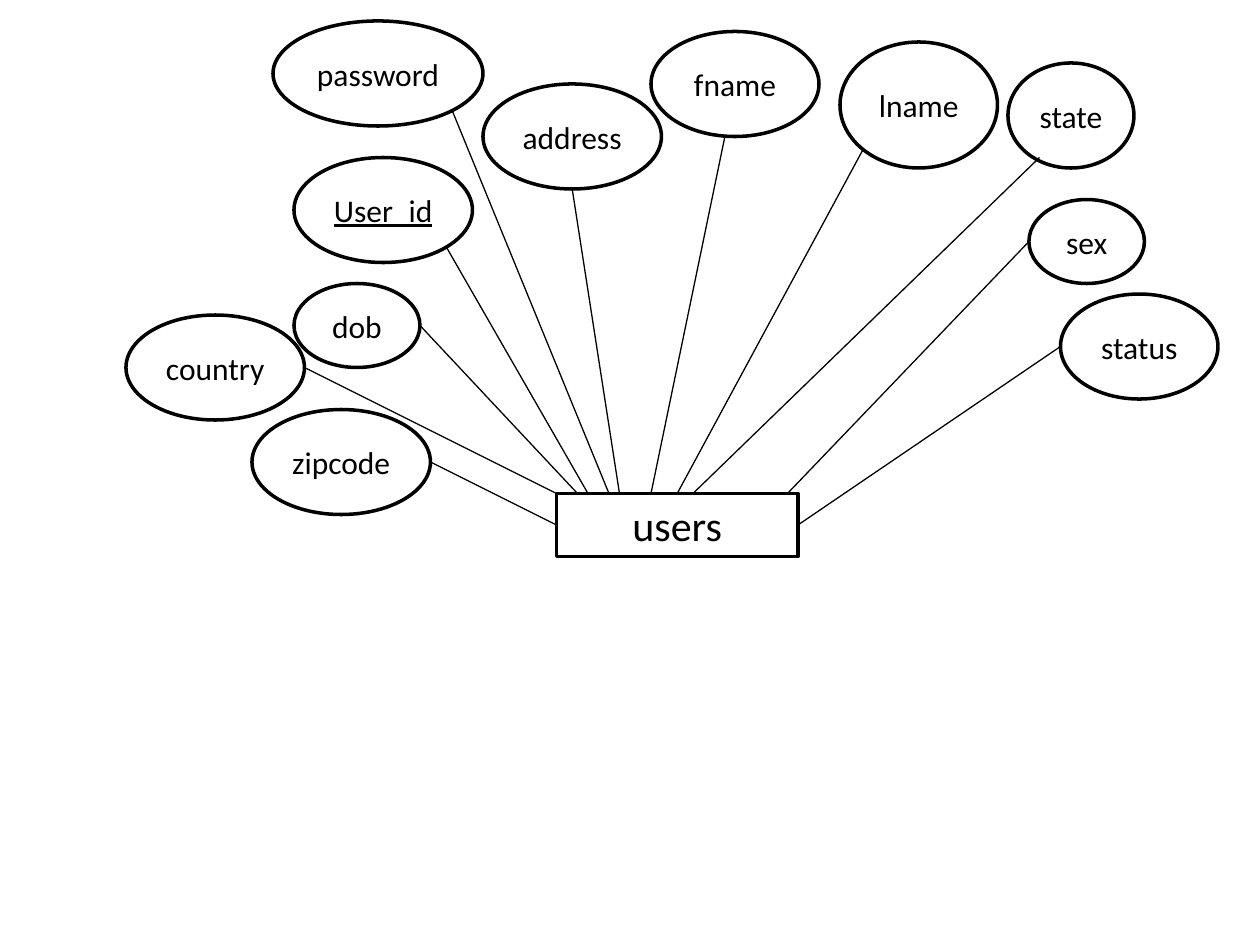
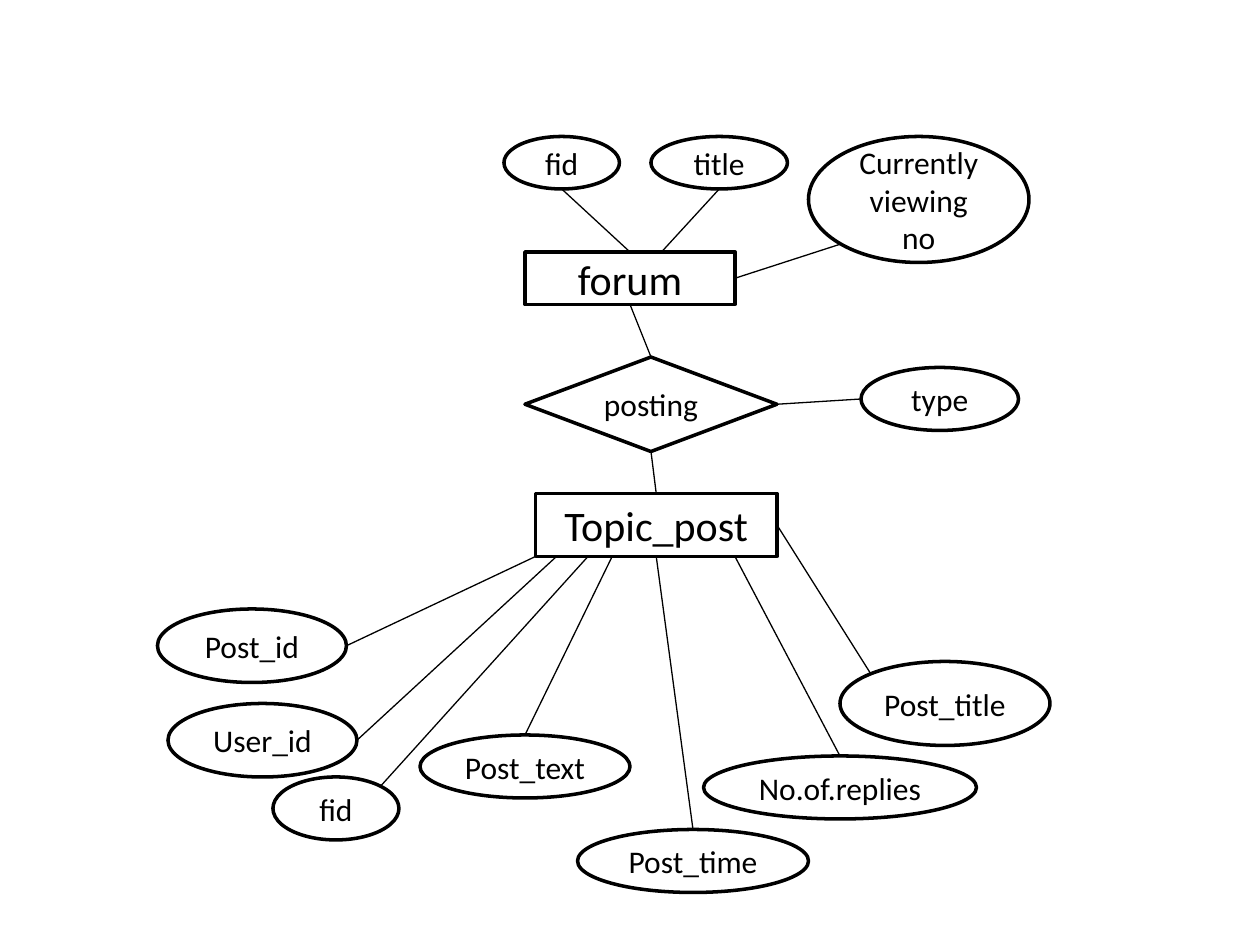
from dataclasses import dataclass
from math import sqrt

from lxml import etree
from pptx import Presentation
from pptx import util as u
from pptx.dml.color import RGBColor
from pptx.enum import shapes, text
from pptx.oxml.ns import qn


@dataclass(frozen=True)
class Theme:
    """Colours, type sizes and line widths of the diagrams."""
    ink: RGBColor = RGBColor(0, 0, 0)
    paper: RGBColor = RGBColor(255, 255, 255)
    font: str = "Calibri"
    entity_size: int = 24
    label_size: int = 18
    outline: float = 2
    link: float = 0.75


THEME = Theme()
COLS, ROWS = 120, 90
CELL = u.Inches(10) // COLS
TOP, LEFT, BOTTOM, RIGHT = range(4)

NEAR = (1 - sqrt(0.5)) / 2
FAR = 1 - NEAR
RIM = {
    "top": (0.5, 0), "bottom": (0.5, 1), "left": (0, 0.5), "right": (1, 0.5),
    "top left": (NEAR, NEAR), "top right": (FAR, NEAR),
    "bottom left": (NEAR, FAR), "bottom right": (FAR, FAR),
}

USER_ATTRIBUTES = [
    ("User_id", (28, 15, 17, 10), "bottom right", (56, 47)),
    ("password", (26, 2, 20, 10), "bottom right", (58, 47)),
    ("address", (46, 8, 17, 10), "bottom", (59, 47)),
    ("fname", (62, 3, 16, 10), (0.44, 1), (62, 47)),
    ("lname", (80, 4, 15, 12), "bottom left", TOP),
    ("dob", (28, 27, 12, 8), "right", (55, 47)),
    ("state", (96, 6, 12, 10), (0.25, 0.9), (66, 47)),
    ("country", (12, 30, 17, 10), "right", (53, 47)),
    ("zipcode", (24, 39, 17, 10), "right", LEFT),
    ("sex", (98, 19, 11, 8), "left", (75, 47)),
    ("status", (101, 28, 15, 10), "left", RIGHT),
]
TOPIC_ATTRIBUTES = [
    ("Post_title", (80, 63, 20, 8), "top left", RIGHT),
    ("Post_id", (15, 58, 18, 7), "right", (51, 53)),
    ("User_id", (16, 67, 18, 7), "right", (53, 53)),
    ("fid", (26, 74, 12, 6), "top right", (56, 53)),
    ("Post_text", (40, 70, 20, 6), "top", (58.3, 53)),
    ("Post_time", (55, 79, 22, 6), "top", BOTTOM),
    ("No.of.replies", (67, 72, 26, 6), "top", (70, 53)),
]
FORUM_ATTRIBUTES = [
    ("title", (62, 13, 13, 5), "bottom", (63, 24)),
    ("fid", (48, 13, 11, 5), "bottom", TOP),
    ("Currently viewing no", (77, 13, 21, 12), "bottom left", RIGHT),
]
POSTING_ATTRIBUTES = [("type", (82, 35, 15, 6), "left", RIGHT)]


def cells(*counts):
    """Turn counts of grid cells into lengths."""
    return [round(n * CELL) for n in counts]


def add_node(s, kind, label, box, size=THEME.label_size):
    """Add an outlined shape with a centred label."""
    sp = s.shapes.add_shape(kind, *cells(*box))
    sp.shadow.inherit = False
    sp.fill.solid()
    sp.fill.fore_color.rgb = THEME.paper
    sp.line.color.rgb = THEME.ink
    sp.line.width = u.Pt(THEME.outline)
    tf = sp.text_frame
    tf.text = label
    tf.vertical_anchor = text.MSO_ANCHOR.MIDDLE
    p = tf.paragraphs[0]
    p.alignment = text.PP_ALIGN.CENTER
    font = p.runs[0].font
    font.name, font.size = THEME.font, u.Pt(size)
    font.color.rgb = THEME.ink
    return sp


def add_entity(s, label, box):
    """Add an entity rectangle."""
    return add_node(s, shapes.MSO_SHAPE.RECTANGLE, label, box, THEME.entity_size)


def add_relationship(s, label, box):
    """Add a relationship diamond."""
    return add_node(s, shapes.MSO_SHAPE.FLOWCHART_DECISION, label, box)


def add_link(s, start=(0, 0), end=(0, 0)):
    """Add a thin line between two grid points."""
    c = s.shapes.add_connector(shapes.MSO_CONNECTOR.STRAIGHT, *cells(*start, *end))
    c.line.color.rgb = THEME.ink
    c.line.width = u.Pt(THEME.link)
    etree.SubElement(c._element.spPr, qn("a:effectLst"))
    return c


def join(s, first, first_side, second, second_side):
    """Connect the sides of two nodes."""
    c = add_link(s)
    c.begin_connect(first, first_side)
    c.end_connect(second, second_side)


def add_attributes(s, owner, attributes, key=None):
    """Add attribute ellipses, underline the key and link each to its owner."""
    for label, box, rim, target in attributes:
        sp = add_node(s, shapes.MSO_SHAPE.OVAL, label, box)
        if label == key:
            sp.text_frame.paragraphs[0].runs[0].font.underline = True
        col, row, width, height = box
        across, down = RIM.get(rim, rim)
        start = col + across * width, row + down * height
        if isinstance(target, tuple):
            add_link(s, start, target)
        else:
            add_link(s, start).end_connect(owner, target)


def build_users(s):
    """Draw the users entity with its attributes."""
    users = add_entity(s, "users", (53, 47, 23, 6))
    add_attributes(s, users, USER_ATTRIBUTES, key="User_id")


def build_forum(s):
    """Draw forum and topic posts with the relationship between them."""
    topic = add_entity(s, "Topic_post", (51, 47, 23, 6))
    add_attributes(s, topic, TOPIC_ATTRIBUTES)
    posting = add_relationship(s, "posting", (50, 34, 24, 9))
    add_attributes(s, posting, POSTING_ATTRIBUTES)
    forum = add_entity(s, "forum", (50, 24, 20, 5))
    add_attributes(s, forum, FORUM_ATTRIBUTES)
    join(s, posting, BOTTOM, topic, TOP)
    join(s, posting, TOP, forum, BOTTOM)


def main():
    """Build both diagrams and save the deck."""
    prs = Presentation()
    prs.slide_width, prs.slide_height = COLS * CELL, ROWS * CELL
    for build in (build_users, build_forum):
        build(prs.slides.add_slide(prs.slide_layouts[6]))
    prs.save("out.pptx")


if __name__ == "__main__":
    main()
